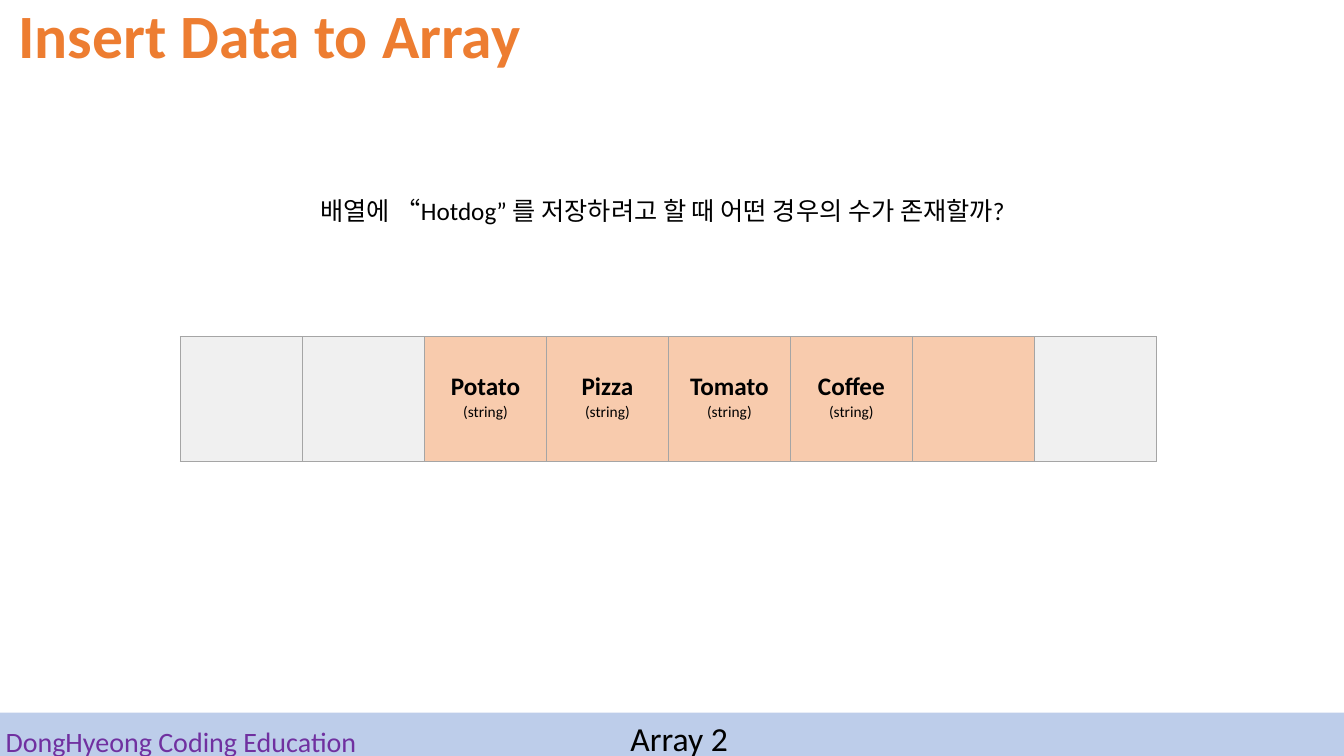
from lxml import etree
from pptx import Presentation
from pptx.dml.color import RGBColor
from pptx.enum.shapes import MSO_SHAPE
from pptx.enum.text import MSO_ANCHOR, PP_ALIGN
from pptx.oxml.ns import qn
from pptx.util import Inches, Pt

RECT = MSO_SHAPE.RECTANGLE
TOP, BOTTOM = MSO_ANCHOR.TOP, MSO_ANCHOR.BOTTOM
LEFT, CENTER = PP_ALIGN.LEFT, PP_ALIGN.CENTER
FONT = "Calibri"
COLORS = {
    "band": "4472C4", "brand": "7030A0", "title": "ED7D31", "text": "000000",
    "empty": "F0F0F0", "used": "F8CBAD", "border": "A5A5A5",
}


def style(p, size, color="text", bold=False, align=CENTER):
    p.alignment = align
    for r in p.runs:
        r.font.name = FONT
        r.font.size = Pt(size)
        r.font.bold = bold
        r.font.color.rgb = RGBColor.from_string(COLORS[color])


prs = Presentation()
prs.slide_width, prs.slide_height = Inches(13.33), Inches(7.5)
s = prs.slides.add_slide(prs.slide_layouts[6])

band = s.shapes.add_shape(RECT, Inches(-0.03), Inches(7.07), Inches(13.39), Inches(0.5))
band.shadow.inherit = False
band.line.fill.background()
band.fill.solid()
band.fill.fore_color.rgb = RGBColor.from_string(COLORS["band"])
band_color = band._element.spPr.find(qn("a:solidFill"))[0]
etree.SubElement(band_color, qn("a:alpha")).set("val", "35000")

labels = [
    ("DongHyeong Coding Education", (-0.36, 7.07, 4.31, 0.5), BOTTOM, CENTER, 20, "brand", False, 0.9),
    ("Array 2", (5.19, 7.12, 3.09, 0.51), TOP, CENTER, 24, "text", False, 0.9),
    ("Insert Data to Array", (-0.03, 0, 5.41, 0.85), TOP, CENTER, 44, "title", True, 0.9),
    ("배열에 “Hotdog” 를 저장하려고 할 때 어떤 경우의 수가 존재할까?",
     (3.08, 1.89, 7.31, 0.4), TOP, LEFT, 18, "text", False, 1.0),
]
for text, box, anchor, align, size, color, bold, spacing in labels:
    tf = s.shapes.add_textbox(*[Inches(v) for v in box]).text_frame
    tf.word_wrap = align == CENTER
    tf.vertical_anchor = anchor
    tf.text = text
    p = tf.paragraphs[0]
    p.line_spacing = spacing
    style(p, size, color, bold, align)

slots = [None, None, "Potato", "Pizza", "Tomato", "Coffee", "", None]
slot_width, slot_height = 1.21, 1.24
table = s.shapes.add_table(1, len(slots), Inches(1.79), Inches(3.34),
                           Inches(slot_width * len(slots)), Inches(slot_height)).table
table.first_row = table.horz_banding = False
table.rows[0].height = Inches(slot_height)
for i, item in enumerate(slots):
    table.columns[i].width = Inches(slot_width)
    cell = table.cell(0, i)
    cell.margin_top = Inches(0.35)
    if item:
        tf = cell.text_frame
        tf.text = f"{item}\n(string)"
        style(tf.paragraphs[0], 18, bold=True)
        style(tf.paragraphs[1], 11)
    tcPr = cell._tc.get_or_add_tcPr()
    for side in ("a:lnL", "a:lnR", "a:lnT", "a:lnB"):
        ln = etree.SubElement(tcPr, qn(side), w=str(Pt(1)))
        fill = etree.SubElement(ln, qn("a:solidFill"))
        etree.SubElement(fill, qn("a:srgbClr"), val=COLORS["border"])
    cell.fill.solid()
    cell.fill.fore_color.rgb = RGBColor.from_string(COLORS["empty" if item is None else "used"])

prs.save("out.pptx")
